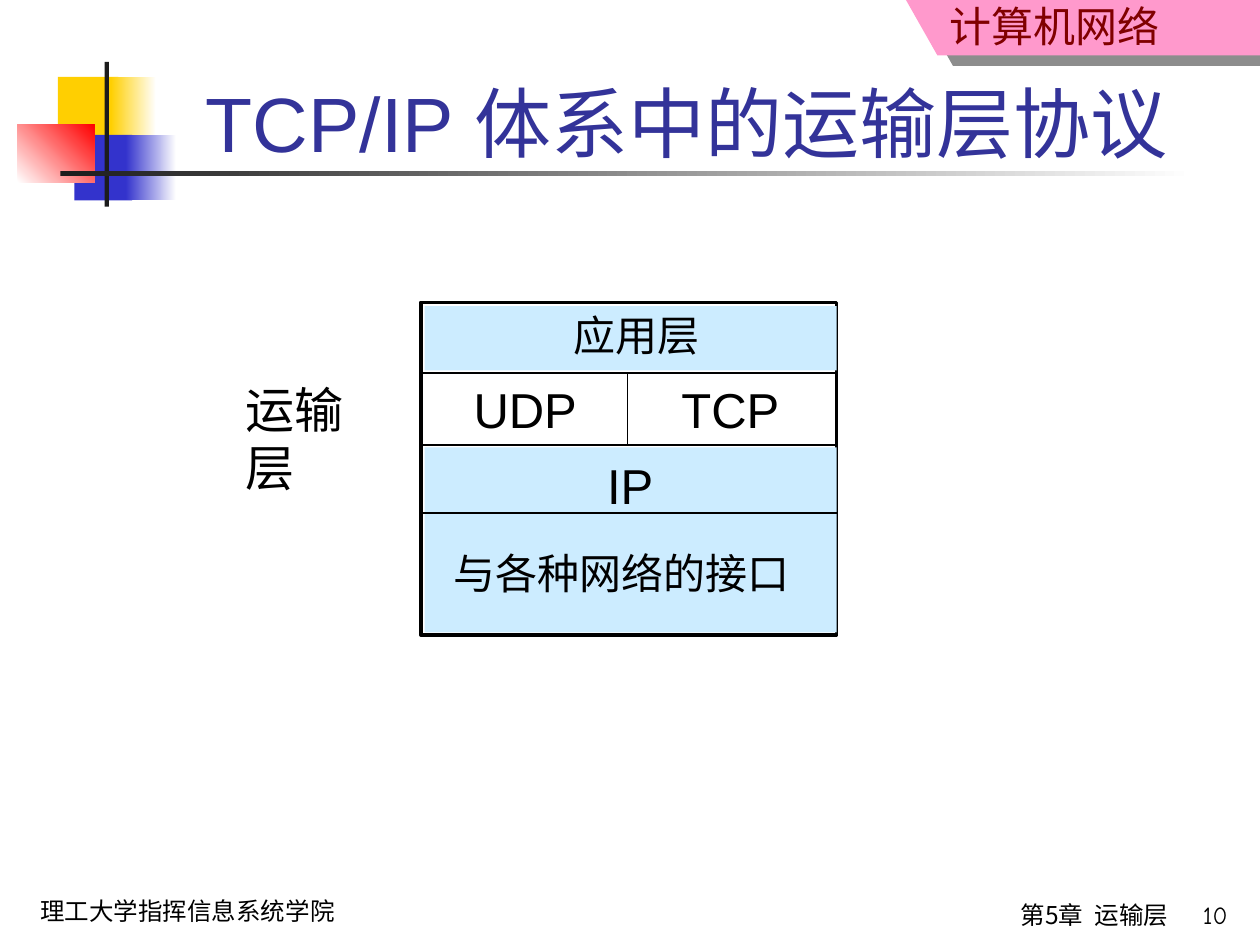
from dataclasses import dataclass

from lxml import etree
from pptx import Presentation
from pptx import util as u
from pptx.dml.color import RGBColor
from pptx.enum import shapes, text
from pptx.oxml import ns


@dataclass(frozen=True)
class Theme:
    ink: str = "000000"
    white: str = "FFFFFF"
    dark: str = "1C1C1C"
    title: str = "333399"
    course: str = "800000"
    pink: str = "FF99CC"
    yellow: str = "FFCF01"
    blue: str = "3333CC"
    red: str = "FF0000"
    layer: str = "CCECFF"
    latin: str = "Arial"
    chinese: str = "Noto Sans CJK SC"
    footer_font: str = "Comic Neue"
    label_font: str = "Lato"
    title_size: int = 44
    large: int = 28
    medium: int = 24
    small: int = 14


THEME = Theme()
COLUMNS, ROWS = 100, 75
ALIGN = {"left": text.PP_ALIGN.LEFT, "center": text.PP_ALIGN.CENTER,
         "right": text.PP_ALIGN.RIGHT}


def write_text(box, words, size, font=THEME.latin, color=THEME.ink, align="left",
               wrap=True, bottom=False, top_inset=0.05):
    """Put one formatted paragraph into a box."""
    frame = box.text_frame
    frame.word_wrap = wrap
    frame.margin_left = frame.margin_right = u.Inches(0.1)
    frame.margin_top, frame.margin_bottom = u.Inches(top_inset), u.Inches(0.05)
    frame.vertical_anchor = text.MSO_ANCHOR.BOTTOM if bottom else text.MSO_ANCHOR.TOP
    para = frame.paragraphs[0]
    para.alignment = ALIGN[align]
    span = para.add_run()
    span.text = words
    span.font.size = u.Pt(size)
    span.font.name = font
    span.font.color.rgb = RGBColor.from_string(color)
    east_asian = etree.SubElement(span.font._element, ns.qn("a:ea"))
    east_asian.set("typeface", THEME.chinese)


class SlideBuilder:
    """Places elements on a grid of COLUMNS by ROWS."""

    def __init__(self, deck):
        self.width, self.height = deck.slide_width, deck.slide_height
        self.page = deck.slides.add_slide(deck.slide_layouts[6])

    def point(self, column, row):
        return round(self.width * column / COLUMNS), round(self.height * row / ROWS)

    def area(self, place):
        column, row, columns, rows = place
        return *self.point(column, row), *self.point(columns, rows)

    def rect(self, place, fill, fade_to=None, angle=0, outline=None):
        box = self.page.shapes.add_shape(shapes.MSO_SHAPE.RECTANGLE, *self.area(place))
        box.shadow.inherit = False
        if fade_to:
            box.fill.gradient()
            box.fill.gradient_angle = angle
            for stop, color in zip(box.fill.gradient_stops, (fill, fade_to)):
                stop.color.rgb = RGBColor.from_string(color)
        else:
            box.fill.solid()
            box.fill.fore_color.rgb = RGBColor.from_string(fill)
        if outline:
            box.line.color.rgb = RGBColor.from_string(THEME.ink)
            box.line.width = u.Pt(outline)
        else:
            box.line.fill.background()
        return box

    def label(self, place, words, size, **style):
        box = self.page.shapes.add_textbox(*self.area(place))
        write_text(box, words, size, **style)

    def line(self, start, end):
        rule = self.page.shapes.add_connector(
            shapes.MSO_CONNECTOR.STRAIGHT, *self.point(*start), *self.point(*end))
        rule.line.color.rgb = RGBColor.from_string(THEME.ink)
        rule.line.width = u.Pt(1)
        etree.SubElement(rule._element.spPr, ns.qn("a:effectLst"))

    def banner(self, corners, fill):
        points = [self.point(*corner) for corner in corners]
        builder = self.page.shapes.build_freeform(*points[0], scale=1.0)
        builder.add_line_segments(points[1:], close=True)
        box = builder.convert_to_shape()
        box.fill.solid()
        box.fill.fore_color.rgb = RGBColor.from_string(fill)
        box.line.fill.background()
        box.shadow.inherit = False
        effects = box._element.spPr.find(ns.qn("a:effectLst"))
        shadow = etree.SubElement(effects, ns.qn("a:outerShdw"), blurRad="0",
                                  dist=str(u.Pt(10.8)), dir=str(34 * 60000),
                                  algn="ctr", rotWithShape="0")
        color = etree.SubElement(shadow, ns.qn("a:srgbClr"), val=THEME.dark)
        etree.SubElement(color, ns.qn("a:alpha"), val="50000")


deck = Presentation()
deck.slide_width, deck.slide_height = u.Inches(10), u.Inches(7.5)
slide = SlideBuilder(deck)

# Course banner
slide.banner([(71.9, 0), (74.4, 4.4), (100, 4.4), (100, 0)], THEME.pink)
slide.label((58.2, 0, 34.8, 4.5), "计算机网络", THEME.medium, font=THEME.chinese,
            color=THEME.course, align="right", top_inset=0)

# Title ornament
slide.rect((4.6, 6.1, 4.8, 5.2), THEME.yellow)
slide.rect((8.8, 6.1, 3.6, 5.2), THEME.yellow, fade_to=THEME.white)
slide.rect((5.9, 10.7, 4.6, 5.2), THEME.blue)
slide.rect((10, 10.7, 4, 5.2), THEME.blue, fade_to=THEME.white)
slide.rect((1.4, 9.9, 6.1, 4.6), THEME.white, fade_to=THEME.red, angle=45)
slide.rect((8.3, 4.9, 0.35, 11.5), THEME.dark)
slide.rect((4.8, 13.6, 90, 0.35), THEME.dark, fade_to=THEME.white)

# Title
slide.label((12.6, 2.3, 85.2, 11.5), "TCP/IP 体系中的运输层协议 ", THEME.title_size,
            color=THEME.title, align="center", bottom=True)

# Protocol stack: frame, shaded layers, dividers
left, right, top, bottom = 33.4, 66.4, 24, 50.4
transport_top, transport_bottom, ip_bottom = 29.6, 35.3, 40.7
inset = 0.3
slide.rect((left, top, right - left, bottom - top), THEME.white, outline=2)
for start, end in ((top + inset, transport_top - 0.2),
                   (transport_bottom + 0.2, bottom - 0.2)):
    slide.rect((left + inset, start, right - left - inset, end - start), THEME.layer)
for row in (transport_top, transport_bottom, ip_bottom):
    slide.line((left, row), (right, row))
middle = (left + right) / 2 - 0.1
slide.line((middle, transport_top), (middle, transport_bottom))

# Layer names
for place, words, size, style in (
    ((44.5, 24.1, 12, 5), "应用层", THEME.medium, {"wrap": False}),
    ((36.6, transport_top, 10.2, 5.6), "UDP", THEME.large, {"wrap": False}),
    ((53.1, transport_top, 9.8, 5.6), "TCP", THEME.large, {"wrap": False}),
    ((47.2, 35.7, 5.7, 5), "IP", THEME.large, {"wrap": False}),
    ((35, 43, 29.9, 5), "与各种网络的接口", THEME.medium, {}),
    ((18.5, transport_top, 13.6, 5.7), "运输层", THEME.large,
     {"wrap": False, "font": THEME.label_font}),
):
    slide.label(place, words, size, **style)

# Footer
slide.label((2.2, 70.6, 31.1, 3.4), "理工大学指挥信息系统学院", THEME.small,
            font=THEME.footer_font)
slide.label((42.9, 70.9, 50.8, 4.1), "第5章  运输层", THEME.small,
            font=THEME.chinese, align="right")
slide.label((90.5, 70.9, 7.9, 3.8), "10", THEME.small,
            font=THEME.footer_font, align="right")

deck.save("out.pptx")
